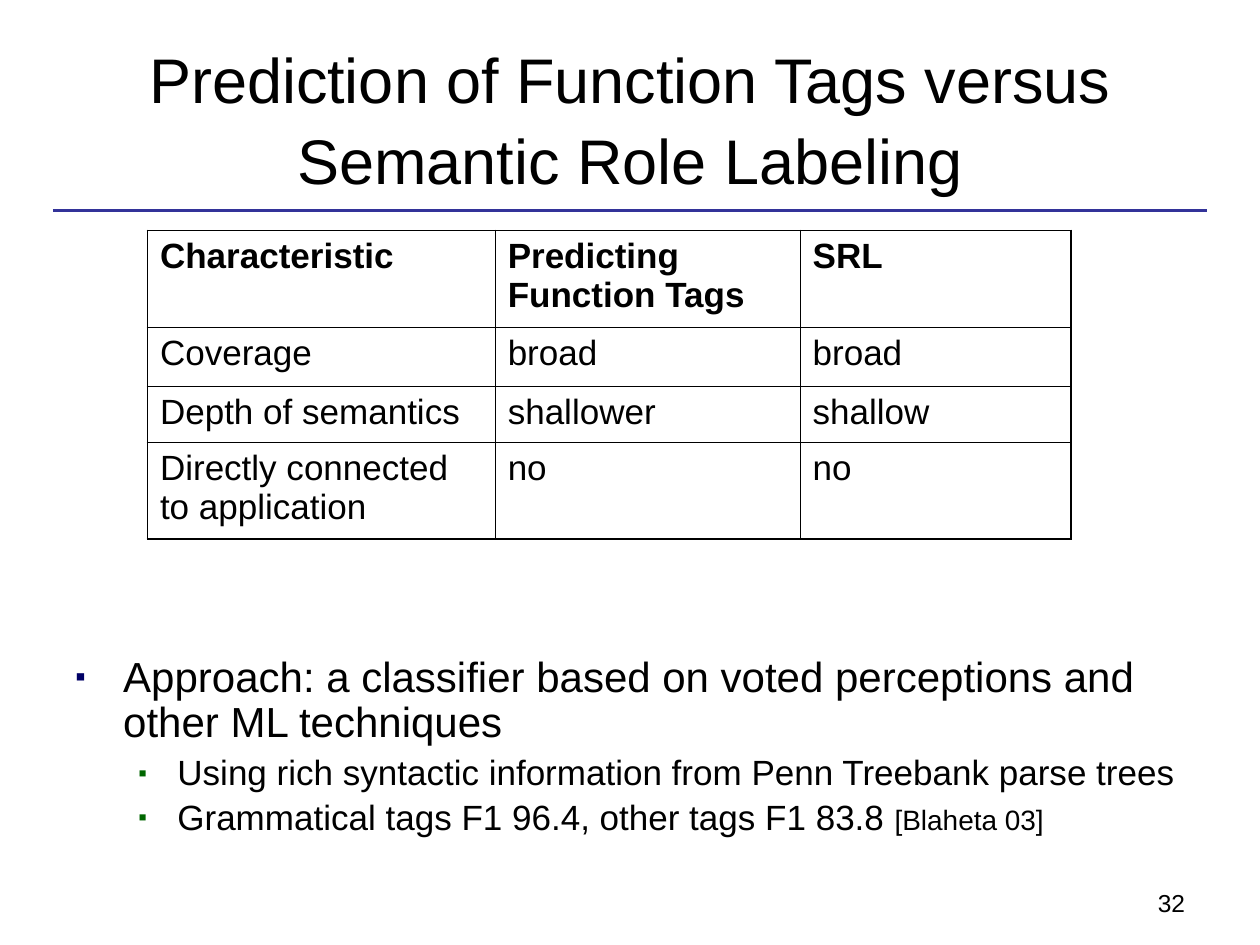
"""Build a slide comparing function tag prediction with semantic role labeling."""
from dataclasses import dataclass

import lxml.etree
import pptx
import pptx.dml.color
import pptx.enum.shapes
import pptx.enum.text
import pptx.oxml.ns
import pptx.util

PX = 9144
FONT = "Arial"
BLACK = "000000"
THIN, THICK = 0.45, 1.08


@dataclass
class Box:
    x: int
    y: int
    w: int
    h: int

    def emu(self) -> list[int]:
        return [v * PX for v in (self.x, self.y, self.w, self.h)]


@dataclass
class Bullet:
    runs: list[tuple[str, int]]
    color: str
    margin: int
    hang: int
    before: int


COLUMNS = [276, 242, 215]
ROWS = [
    (77, ["Characteristic", "Predicting Function Tags", "SRL"]),
    (47, ["Coverage", "broad", "broad"]),
    (44, ["Depth of semantics", "shallower", "shallow"]),
    (77, ["Directly connected to application", "no", "no"]),
]
BULLETS = [
    Bullet([("Approach: a classifier based on voted perceptions and other ML techniques", 24)],
           "000066", 38, 38, 0),
    Bullet([("Using rich syntactic information from Penn Treebank parse trees", 20)],
           "006600", 81, 31, 5),
    Bullet([("Grammatical tags F1 96.4, other tags F1 83.8 ", 20), ("[Blaheta 03]", 16)],
           "006600", 81, 31, 4),
]


def rgb(value: str) -> pptx.dml.color.RGBColor:
    return pptx.dml.color.RGBColor.from_string(value)


def add_xml(parent, tag: str, **attrs):
    return lxml.etree.SubElement(parent, pptx.oxml.ns.qn(tag), attrs)


def set_font(p, size: int, bold: bool = False) -> None:
    p.font.name, p.font.size, p.font.bold = FONT, pptx.util.Pt(size), bold
    p.font.color.rgb = rgb(BLACK)


def add_text(s, box: Box, text: str = "", size: int = 20, wrap: bool = True):
    tf = s.shapes.add_textbox(*box.emu()).text_frame
    tf.word_wrap = wrap
    if text:
        tf.text = text
        set_font(tf.paragraphs[0], size)
    return tf


def add_rule(s, x1: int, x2: int, y: int, color: str) -> None:
    line = s.shapes.add_connector(pptx.enum.shapes.MSO_CONNECTOR.STRAIGHT,
                                  x1 * PX, y * PX, x2 * PX, y * PX)
    line.line.color.rgb = rgb(color)
    line.line.width = pptx.util.Pt(1.75)
    add_xml(line._element.spPr, "a:effectLst")


def set_borders(cell, widths: dict[str, float]) -> None:
    tc_pr = cell._tc.get_or_add_tcPr()
    for side, width in widths.items():
        ln = add_xml(tc_pr, f"a:ln{side}", w=str(pptx.util.Pt(width)))
        add_xml(add_xml(ln, "a:solidFill"), "a:srgbClr", val=BLACK)


def add_comparison(s, box: Box) -> None:
    table = s.shapes.add_table(len(ROWS), len(COLUMNS), *box.emu()).table
    table.first_row = table.horz_banding = False
    for column, width in zip(table.columns, COLUMNS):
        column.width = width * PX
    for i, (height, texts) in enumerate(ROWS):
        table.rows[i].height = height * PX
        for j, text in enumerate(texts):
            cell = table.cell(i, j)
            cell.text = text
            set_font(cell.text_frame.paragraphs[0], 20, bold=i == 0)
            outer = {"L": j == 0, "R": j == len(COLUMNS) - 1,
                     "T": i == 0, "B": i == len(ROWS) - 1}
            set_borders(cell, {side: THICK if edge else THIN for side, edge in outer.items()})
            cell.fill.background()


def add_bullets(s, box: Box) -> None:
    tf = add_text(s, box)
    for i, bullet in enumerate(BULLETS):
        p = tf.add_paragraph() if i else tf.paragraphs[0]
        p.level = 1 if i else 0
        p.line_spacing, p.space_before = 0.9, pptx.util.Pt(bullet.before)
        p_pr = p._p.get_or_add_pPr()
        p_pr.set("marL", str(bullet.margin * PX))
        p_pr.set("indent", str(-bullet.hang * PX))
        add_xml(add_xml(p_pr, "a:buClr"), "a:srgbClr", val=bullet.color)
        add_xml(p_pr, "a:buSzPct", val="70000")
        add_xml(p_pr, "a:buFont", typeface=FONT)
        add_xml(p_pr, "a:buChar", char="▪")
        set_font(p, bullet.runs[0][1])
        for text, size in bullet.runs:
            r = p.add_run()
            r.text = text
            r.font.size = pptx.util.Pt(size)


def main() -> None:
    prs = pptx.Presentation()
    prs.slide_width, prs.slide_height = 1000 * PX, 750 * PX
    s = prs.slides.add_slide(prs.slide_layouts[6])
    add_rule(s, 42, 958, 167, "333399")
    add_text(s, Box(909, 700, 109, 34), "32", 14, wrap=False)
    title = add_text(s, Box(50, 30, 900, 125),
                     "Prediction of Function Tags versus Semantic Role Labeling", 36)
    title.vertical_anchor = pptx.enum.text.MSO_ANCHOR.MIDDLE
    title.paragraphs[0].alignment = pptx.enum.text.PP_ALIGN.CENTER
    title.paragraphs[0].line_spacing = 1.06
    add_bullets(s, Box(50, 516, 900, 154))
    add_comparison(s, Box(117, 183, sum(COLUMNS), sum(height for height, _ in ROWS)))
    prs.save("out.pptx")


if __name__ == "__main__":
    main()
